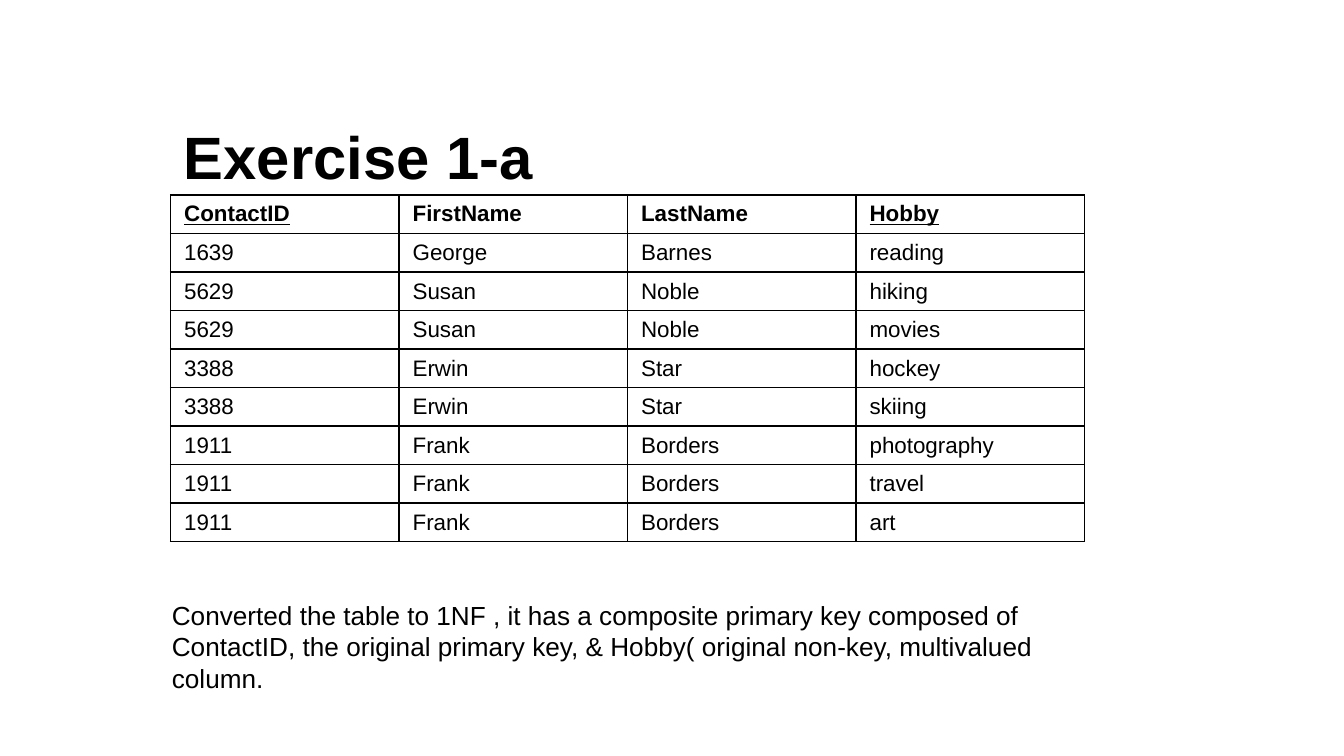
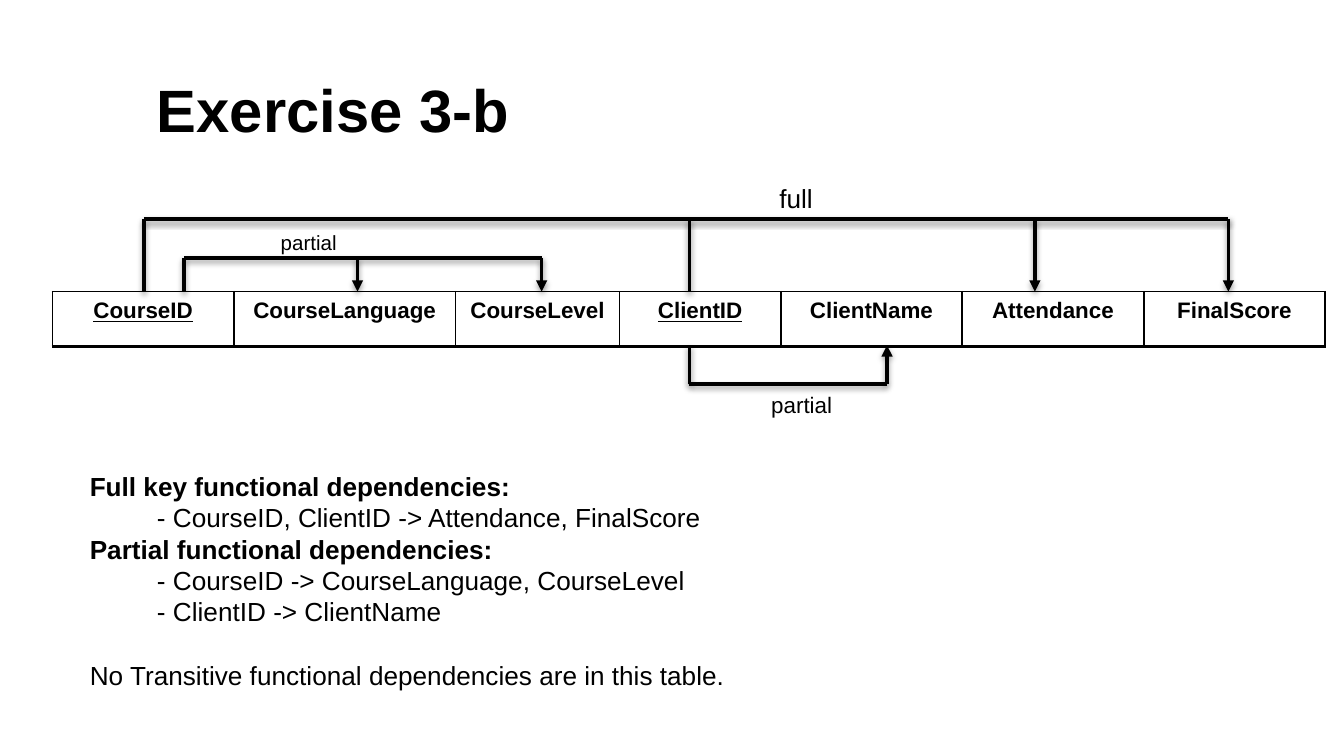
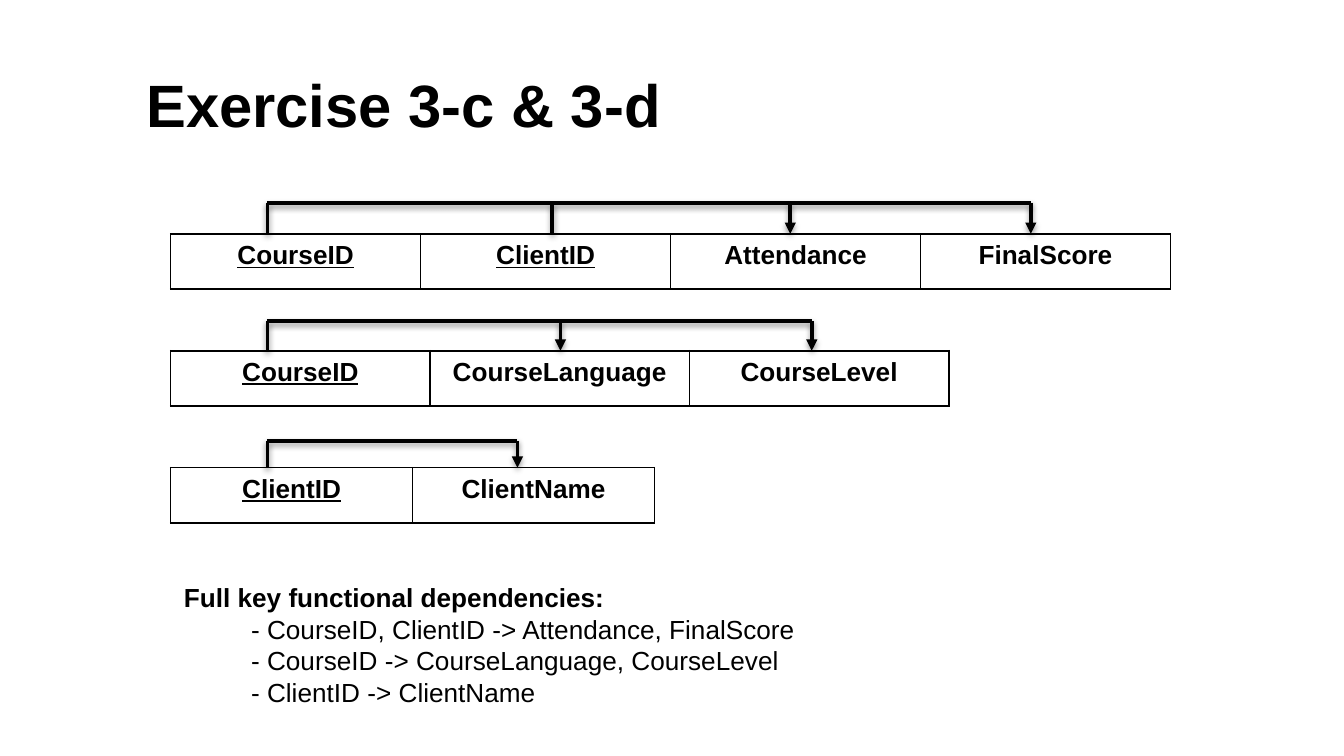
from pptx import Presentation
from pptx.dml.color import RGBColor
from pptx.enum.shapes import MSO_CONNECTOR
from pptx.enum.text import MSO_ANCHOR, PP_ALIGN
from pptx.oxml import parse_xml
from pptx.oxml.ns import nsdecls
from pptx.util import Inches, Pt

BLACK = "000000"
FONT = "Arial"


def set_font(p, size, bold=False, underline=False):
    for r in p.runs:
        r.font.name = FONT
        r.font.size = Pt(size)
        r.font.bold = bold
        r.font.underline = underline
        r.font.color.rgb = RGBColor.from_string(BLACK)


def add_text(s, box, lines, size, wrap=True):
    tf = s.shapes.add_textbox(*[Inches(v) for v in box]).text_frame
    tf.word_wrap = wrap
    tf.text = "\n".join(lines)
    for p in tf.paragraphs:
        set_font(p, size)
    return tf


# Widescreen page, 16:9
prs = Presentation()
prs.slide_width, prs.slide_height = Inches(10), Inches(10 * 9 / 16)

# Slides and titles
titles = [
    ("Exercise 1-a", 1.27, 0.69),
    ("Exercise 3-b", 1.07, 0.34),
    ("Exercise 3-c & 3-d", 0.99, 0.3),
]
slides = []
for title, left, top in titles:
    s = prs.slides.add_slide(prs.slide_layouts[6])
    tf = add_text(s, (left, top, 7.44, 0.94), [title], 32)
    tf.vertical_anchor = MSO_ANCHOR.MIDDLE
    set_font(tf.paragraphs[0], 32, bold=True)
    slides.append(s)
contacts_slide, dependency_slide, result_slide = slides

# Tables: slide, left, top, column widths, total height, size, bottom line, keys, rows
contacts = [
    ["ContactID", "FirstName", "LastName", "Hobby"],
    ["1639", "George", "Barnes", "reading"],
    ["5629", "Susan", "Noble", "hiking"],
    ["5629", "Susan", "Noble", "movies"],
    ["3388", "Erwin", "Star", "hockey"],
    ["3388", "Erwin", "Star", "skiing"],
    ["1911", "Frank", "Borders", "photography"],
    ["1911", "Frank", "Borders", "travel"],
    ["1911", "Frank", "Borders", "art"],
]
course_client = ["CourseID", "CourseLanguage", "CourseLevel", "ClientID",
                 "ClientName", "Attendance", "FinalScore"]
scores = ["CourseID", "ClientID", "Attendance", "FinalScore"]
courses = ["CourseID", "CourseLanguage", "CourseLevel"]
clients = ["ClientID", "ClientName"]
keys = ["CourseID", "ClientID"]
tables = [
    (contacts_slide, 1.27, 1.45, [1.7] * 4, 2.58, 12, 1, ["ContactID", "Hobby"], contacts),
    (dependency_slide, 0.39, 2.17, [1.35, 1.65, 1.22, 1.2, 1.35, 1.35, 1.35], 0.41,
     12, 2, keys, [course_client]),
    (result_slide, 1.27, 1.74, [1.86] * 4, 0.41, 14, 1, keys, [scores]),
    (result_slide, 1.27, 2.61, [1.93] * 3, 0.41, 14, 1, keys, [courses]),
    (result_slide, 1.27, 3.48, [1.8] * 2, 0.41, 14, 1, keys, [clients]),
]
for s, left, top, widths, height, size, bottom, underlined, rows in tables:
    table = s.shapes.add_table(len(rows), len(widths), Inches(left), Inches(top),
                               Inches(sum(widths)), Inches(height)).table
    table.first_row = table.horz_banding = False
    for column, width in zip(table.columns, widths):
        column.width = Inches(width)
    for i, row in enumerate(rows):
        table.rows[i].height = Inches(height / len(rows))
        for j, text in enumerate(row):
            cell = table.cell(i, j)
            cell.text = text
            cell.margin_bottom = Inches(0.03)
            cell.fill.background()
            p = cell.text_frame.paragraphs[0]
            set_font(p, size, bold=i == 0, underline=text in underlined)
            if len(rows) == 1:
                p.alignment = PP_ALIGN.CENTER
            borders = [("L", 1), ("R", 1), ("T", 1), ("B", bottom)]
            for k, (side, points) in enumerate(borders):
                cell._tc.get_or_add_tcPr().insert(k, parse_xml(
                    f'<a:ln{side} {nsdecls("a")} w="{Pt(points)}"><a:solidFill>'
                    f'<a:srgbClr val="{BLACK}"/></a:solidFill></a:ln{side}>'))

# Dependency brackets: slide, spine height, table edge, stems from keys, arrows to columns
brackets = [
    (dependency_slide, 1.63, 2.17, [1.07, 5.13], [7.7, 9.14]),
    (dependency_slide, 1.92, 2.17, [1.37], [2.66, 4.03]),
    (dependency_slide, 2.86, 2.57, [5.13], [6.6]),
    (result_slide, 1.51, 1.74, [1.99, 4.11], [5.88, 7.67]),
    (result_slide, 2.39, 2.61, [1.99], [4.17, 6.04]),
    (result_slide, 3.28, 3.48, [1.99], [3.85]),
]
for s, spine, edge, stems, arrows in brackets:
    lines = [(stems[0], spine, arrows[-1], spine, False)]
    lines += [(x, spine, x, edge, False) for x in stems]
    lines += [(x, spine, x, edge, True) for x in arrows]
    for x1, y1, x2, y2, has_arrow in lines:
        line = s.shapes.add_connector(MSO_CONNECTOR.STRAIGHT, Inches(x1), Inches(y1),
                                      Inches(x2), Inches(y2))
        line.line.width = Pt(2)
        line.line.color.rgb = RGBColor.from_string(BLACK)
        if has_arrow:
            line.line._get_or_add_ln().append(
                parse_xml(f'<a:tailEnd {nsdecls("a")} type="triangle"/>'))
        line._element.spPr.append(parse_xml(
            f'<a:effectLst {nsdecls("a")}><a:outerShdw blurRad="{Pt(3.1)}" dist="{Pt(1.6)}" '
            f'dir="5400000" rotWithShape="0"><a:srgbClr val="{BLACK}">'
            '<a:alpha val="38000"/></a:srgbClr></a:outerShdw></a:effectLst>'))

# Bracket labels
labels = [
    ("partial", (1.99, 1.66, 0.62, 0.29), 11),
    ("full", (5.7, 1.31, 0.45, 0.34), 14),
    ("partial", (5.64, 2.86, 0.66, 0.3), 12),
]
for text, box, size in labels:
    add_text(dependency_slide, box, [text], size, wrap=False)

# Explanations: headings end with a colon, dependencies are indented
full = "- CourseID, ClientID -> Attendance, FinalScore"
partial = ["- CourseID -> CourseLanguage, CourseLevel", "- ClientID -> ClientName"]
explanations = [
    (contacts_slide, (1.18, 4.41, 6.91, 0.81),
     ["Converted the table to 1NF , it has a composite primary key composed of ContactID, "
      "the original primary key, & Hobby( original non-key, multivalued column."]),
    (dependency_slide, (0.57, 3.45, 7.13, 1.75),
     ["Full key functional dependencies:", full, "Partial functional dependencies:", *partial,
      "No Transitive functional dependencies are in this table."]),
    (result_slide, (1.27, 4.28, 4.77, 1.04),
     ["Full key functional dependencies:", full, *partial]),
]
for s, box, lines in explanations:
    tf = add_text(s, box, lines, 14)
    for p in tf.paragraphs:
        if p.text.endswith(":"):
            set_font(p, 14, bold=True)
        elif p.text.startswith("-"):
            p._p.get_or_add_pPr().set("marL", str(Inches(0.5)))
        elif p.text.startswith("No "):
            p.space_before = Pt(17)

prs.save("out.pptx")
